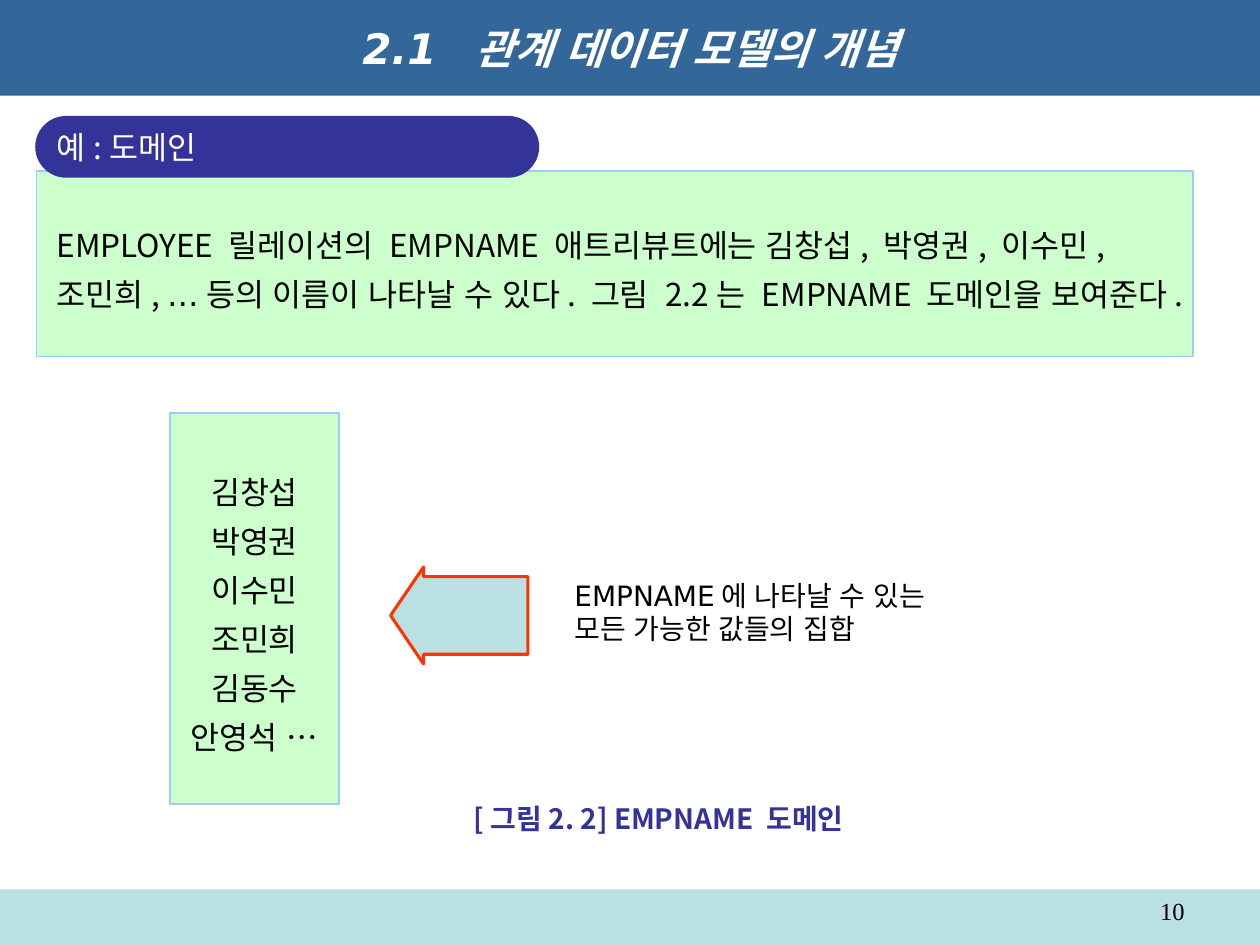
from pptx import Presentation
from pptx.dml.color import RGBColor
from pptx.enum.lang import MSO_LANGUAGE_ID as Lang
from pptx.enum.shapes import MSO_SHAPE as Shape
from pptx.enum.text import MSO_ANCHOR as Anchor, PP_ALIGN as Align
from pptx.oxml.ns import qn
from pptx.util import Pt
from lxml.etree import SubElement

PX = 9144  # 100 px to the inch
KR, SANS, ROMAN = "Noto Sans CJK KR", "DejaVu Sans", "Times New Roman"
HEX = {
    "white": "FFFFFF", "black": "000000", "blue": "336699", "navy": "333399",
    "mint": "CCFFCC", "sky": "99CCFF", "teal": "BBE0E3", "red": "FF3300",
}


def color(name):
    return RGBColor.from_string(HEX[name])


def write(shape, *paras, size=18, font=KR, ink="black", bold=None, slant=None,
          align=Align.LEFT, anchor=Anchor.TOP, pad=(10, 5), space=None, wrap=True):
    """Fill a shape with paragraphs, each a list of texts or (text, font) pairs."""
    frame = shape.text_frame
    frame.word_wrap = wrap
    frame.vertical_anchor = anchor
    frame.margin_left = frame.margin_right = pad[0] * PX
    frame.margin_top = frame.margin_bottom = pad[1] * PX
    for i, parts in enumerate(paras):
        para = frame.add_paragraph() if i else frame.paragraphs[0]
        para.alignment = align
        para.line_spacing = space
        for part in parts:
            text, face = part if isinstance(part, tuple) else (part, font)
            run = para.add_run()
            run.text = text
            style = run.font
            style.size, style.name = Pt(size), face
            style.bold, style.italic = bold, slant
            style.color.rgb = color(ink)
            style.language_id = Lang.KOREAN
            SubElement(style._element, qn("a:ea")).set("typeface", KR)


deck = Presentation()
deck.slide_width, deck.slide_height = 1000 * PX, 750 * PX
slide = deck.slides.add_slide(deck.slide_layouts[5])
shapes = slide.shapes

# Title band
title = shapes.title
title.left, title.top, title.width, title.height = 0, 0, 1000 * PX, 76 * PX
title.fill.solid()
title.fill.fore_color.rgb = color("blue")
write(title, ["2.1  관계 데이터 모델의 개념"], size=24, font=SANS, ink="white",
      bold=True, slant=True, align=Align.CENTER, anchor=Anchor.MIDDLE)

# Filled shapes, back to front: kind, box, fill, line, line width
made = {}
for name, kind, box, fill, line, width in [
    ("footer", Shape.RECTANGLE, (0, 706, 1000, 44), "teal", None, 0),
    ("body", Shape.RECTANGLE, (29, 136, 918, 147), "mint", "sky", 1),
    ("label", Shape.ROUNDED_RECTANGLE, (28, 92, 400, 49), "navy", None, 0),
    ("names", Shape.RECTANGLE, (135, 328, 134, 310), "mint", "sky", 1),
    ("arrow", Shape.LEFT_ARROW, (310, 450, 109, 77), "teal", "red", 1.75),
]:
    shape = made[name] = shapes.add_shape(kind, *(n * PX for n in box))
    shape.shadow.inherit = False
    shape.fill.solid()
    shape.fill.fore_color.rgb = color(fill)
    if line:
        shape.line.color.rgb = color(line)
        shape.line.width = Pt(width)
    else:
        shape.line.fill.background()
made["label"].adjustments[0] = 0.5
made["arrow"].adjustments[0] = 0.8
made["arrow"].adjustments[1] = 0.34

write(made["label"], ["예:도메인"], ink="white", anchor=Anchor.MIDDLE, wrap=False)
dots = ("…", SANS)
block = dict(anchor=Anchor.MIDDLE, pad=(16, 16), space=1.3)
write(made["body"],
      ["EMPLOYEE 릴레이션의 EMPNAME 애트리뷰트에는 김창섭, 박영권, 이수민, 조민희, ",
       dots, "등의 이름이 나타날 수 있다. 그림 2.2는 EMPNAME 도메인을 보여준다."],
      **block)
write(made["names"], ["김창섭 박영권 이수민 조민희 김동수 안영석 ", dots],
      align=Align.CENTER, **block)

# Free text
note, caption, number = [
    shapes.add_textbox(*(n * PX for n in box))
    for box in [(440, 443, 317, 85), (366, 631, 330, 37), (717, 706, 233, 29)]
]
write(note, ["EMPNAME에 나타날 수 있는"], ["모든 가능한 값들의 집합"],
      size=16, font=SANS, pad=(16, 16), wrap=False)
write(caption, ["[그림2. 2] EMPNAME 도메인"], size=16, ink="navy", bold=True,
      align=Align.JUSTIFY)
write(number, ["10"], size=14, font=ROMAN, align=Align.RIGHT)

deck.save("out.pptx")
